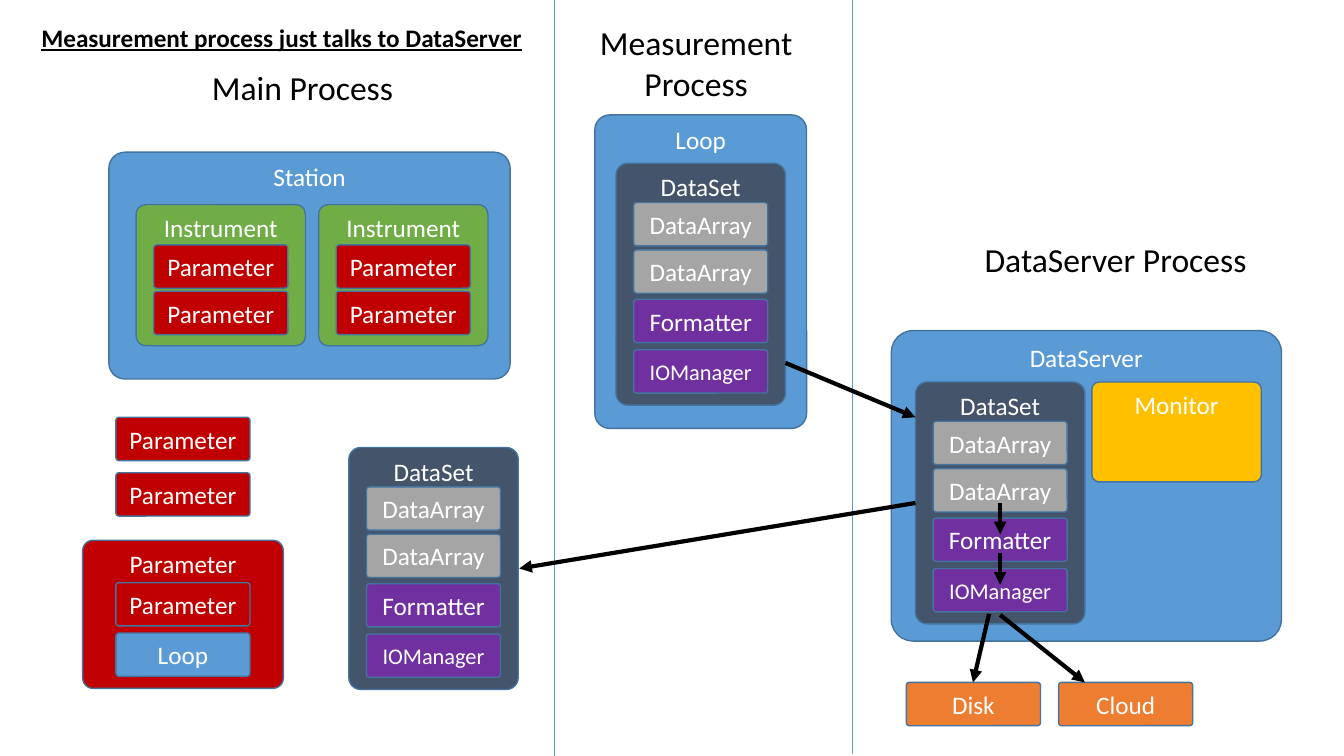
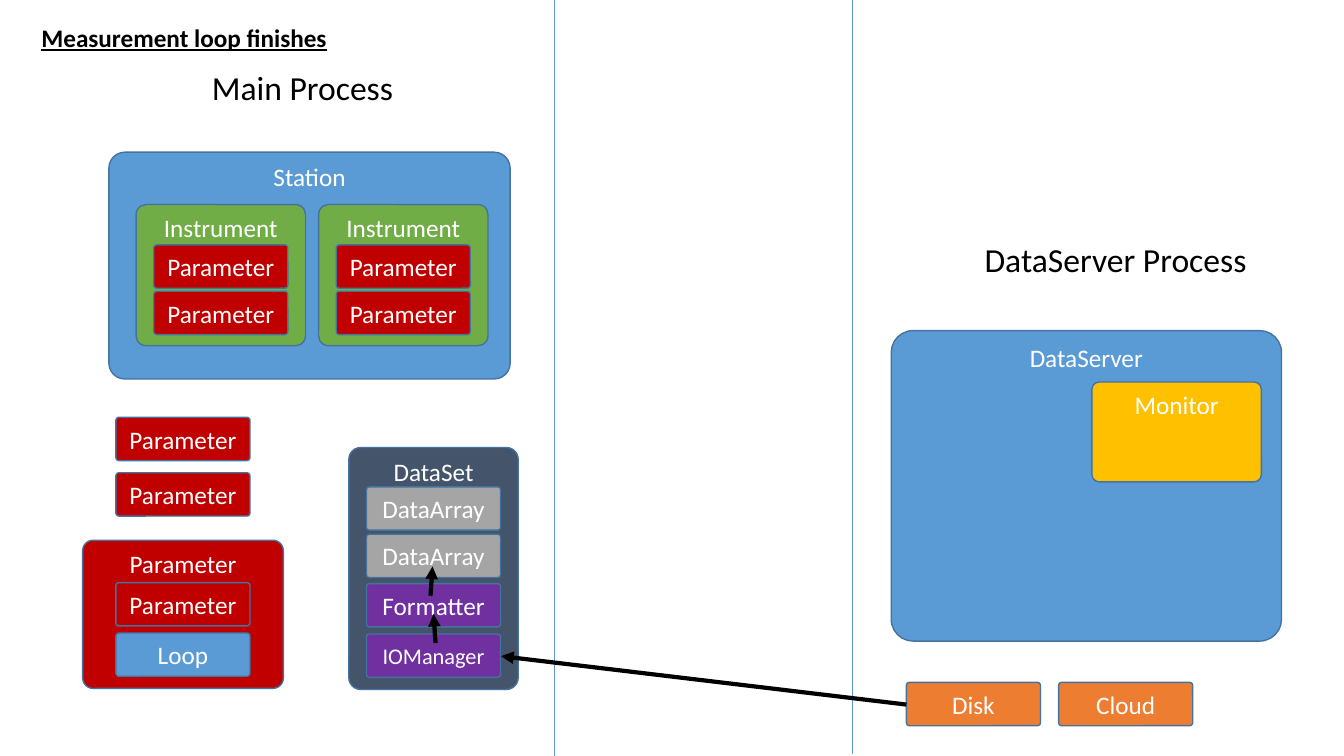
from lxml import etree
from pptx import Presentation
from pptx.dml.color import RGBColor
from pptx.enum.shapes import MSO_CONNECTOR, MSO_SHAPE
from pptx.enum.text import MSO_ANCHOR, MSO_AUTO_SIZE, PP_ALIGN
from pptx.oxml.ns import qn
from pptx.util import Inches, Pt

ROUNDED = MSO_SHAPE.ROUNDED_RECTANGLE
STRAIGHT = MSO_CONNECTOR.STRAIGHT
TOP, MIDDLE = MSO_ANCHOR.TOP, MSO_ANCHOR.MIDDLE
LEFT, CENTER = PP_ALIGN.LEFT, PP_ALIGN.CENTER
FIT_SHAPE, NO_FIT = MSO_AUTO_SIZE.SHAPE_TO_FIT_TEXT, MSO_AUTO_SIZE.NONE

FONT = "Calibri"
COLORS = {
    "blue": "5B9BD5",
    "outline": "43739E",
    "green": "70AD47",
    "red": "C00000",
    "slate": "44546A",
    "gray": "A5A5A5",
    "purple": "7030A0",
    "gold": "FFC000",
    "orange": "ED7D31",
    "black": "000000",
    "white": "FFFFFF",
}
ITEM_WIDTH, ITEM_HEIGHT = 1.33, 0.43
GROUP_WIDTH = 1.68
INSTRUMENT_ITEMS = [
    ("Parameter", "red", 0.4, 18),
    ("Parameter", "red", 0.86, 18),
]
DATASET_ITEMS = [
    ("DataArray", "gray", 0.39, 18),
    ("DataArray", "gray", 0.86, 18),
    ("Formatter", "purple", 1.35, 18),
    ("IOManager", "purple", 1.85, 16),
]


def color(name):
    """Return the named colour of the palette."""
    return RGBColor.from_string(COLORS[name])


def format_text(text_frame, size, color_name, alignment, bold=None, underline=None):
    """Give all paragraphs and runs of a text frame one style."""
    for paragraph in text_frame.paragraphs:
        paragraph.alignment = alignment
        for run in paragraph.runs:
            run.font.name = FONT
            run.font.size = Pt(size)
            run.font.bold = bold
            run.font.underline = underline
            run.font.color.rgb = color(color_name)


def set_title(slide, text, width):
    """Place the underlined heading in the title placeholder."""
    title = slide.shapes.title
    title.left, title.top = Inches(0.31), Inches(0.17)
    title.width, title.height = Inches(width), Inches(0.4)
    text_frame = title.text_frame
    text_frame.text = text
    text_frame.word_wrap = False
    text_frame.auto_size = NO_FIT
    text_frame.vertical_anchor = TOP
    format_text(text_frame, 18, "black", LEFT, bold=True, underline=True)


def add_label(slide, text, left, top, width, height=0.5):
    """Add the name of a process above its column."""
    label = slide.shapes.add_textbox(
        Inches(left), Inches(top), Inches(width), Inches(height))
    text_frame = label.text_frame
    text_frame.text = text
    text_frame.word_wrap = False
    text_frame.auto_size = FIT_SHAPE
    format_text(text_frame, 24, "black", CENTER)


def add_box(shapes, text, fill, left, top, width, height, anchor=TOP, size=18):
    """Add a rounded box with its caption."""
    box = shapes.add_shape(
        ROUNDED, Inches(left), Inches(top), Inches(width), Inches(height))
    box.adjustments[0] = 0.07
    box.shadow.inherit = False
    box.fill.solid()
    box.fill.fore_color.rgb = color(fill)
    box.line.color.rgb = color("outline")
    box.line.width = Pt(1)
    box.text_frame.text = text
    box.text_frame.word_wrap = True
    box.text_frame.vertical_anchor = anchor
    format_text(box.text_frame, size, "white", CENTER)


def add_item(shapes, text, fill, left, top, size=18):
    """Add a small box of the standard item size."""
    add_box(shapes, text, fill, left, top, ITEM_WIDTH, ITEM_HEIGHT, MIDDLE, size)


def add_stack(slide, text, fill, left, top, height, items):
    """Add a grouped container with a centred column of items."""
    shapes = slide.shapes.add_group_shape().shapes
    add_box(shapes, text, fill, left, top, GROUP_WIDTH, height)
    item_left = left + (GROUP_WIDTH - ITEM_WIDTH) / 2
    for item_text, item_fill, offset, size in items:
        add_item(shapes, item_text, item_fill, item_left, top + offset, size)


def add_dataset(slide, left, top):
    """Add a DataSet with its arrays, formatter and manager."""
    add_stack(slide, "DataSet", "slate", left, top, 2.4, DATASET_ITEMS)


def add_line(slide, start, end, color_name, width):
    """Add a straight line without shadow."""
    connector = slide.shapes.add_connector(
        STRAIGHT, *(Inches(value) for value in (*start, *end)))
    connector.line.color.rgb = color(color_name)
    connector.line.width = Pt(width)
    etree.SubElement(connector.element.spPr, qn("a:effectLst"))
    return connector


def add_arrow(slide, start, end):
    """Add a thick black arrow that points to its end."""
    connector = add_line(slide, start, end, "black", 3)
    outline = connector.element.spPr.find(qn("a:ln"))
    etree.SubElement(outline, qn("a:tailEnd"), type="triangle")


def add_main_process(slide):
    """Add the station, the parameters and the DataSet of the main process."""
    shapes = slide.shapes
    add_label(slide, "Main Process", 1.99, 0.61, 2.02)
    add_box(shapes, "Station", "blue", 1.08, 1.51, 3.98, 2.25)
    for left in (1.35, 3.16):
        add_stack(slide, "Instrument", "green", left, 2.03, 1.4, INSTRUMENT_ITEMS)
    add_box(shapes, "Parameter", "red", 0.82, 5.36, 1.99, 1.47)
    for top in (4.14, 4.69, 5.78):
        add_item(shapes, "Parameter", "red", 1.15, top)
    add_item(shapes, "Loop", "blue", 1.15, 6.28)
    add_dataset(slide, 3.46, 4.44)


def add_measurement_process(slide):
    """Add the measurement loop with its DataSet."""
    add_label(slide, "Measurement\nProcess", 5.84, 0.17, 2.13, 0.91)
    add_box(slide.shapes, "Loop", "blue", 5.9, 1.14, 2.1, 3.11)
    add_dataset(slide, 6.11, 1.62)


def add_server_process(slide):
    """Add the DataServer with its monitor and storage targets."""
    shapes = slide.shapes
    add_label(slide, "DataServer Process", 9.65, 2.32, 2.83)
    add_box(shapes, "DataServer", "blue", 8.84, 3.28, 3.87, 3.08)
    add_box(shapes, "Monitor", "gold", 10.83, 3.79, GROUP_WIDTH, 0.99)
    for text, left in (("Disk", 8.99), ("Cloud", 10.5)):
        add_item(shapes, text, "orange", left, 6.77)


def add_process_slide(presentation, title, title_width):
    """Add a slide with the parts that both states share."""
    slide = presentation.slides.add_slide(presentation.slide_layouts[5])
    set_title(slide, title, title_width)
    add_main_process(slide)
    add_server_process(slide)
    for x, top in ((5.5, 0), (8.45, -0.02)):
        add_line(slide, (x, top), (x, top + 7.5), "blue", 0.5)
    return slide


def add_measuring_slide(presentation):
    """Show the data flow while the measurement runs."""
    slide = add_process_slide(
        presentation, "Measurement process just talks to DataServer", 5.01)
    add_measurement_process(slide)
    add_dataset(slide, 9.08, 3.79)
    for start, end in (
        ((7.79, 3.6), (9.08, 4.14)),
        ((9.92, 4.99), (9.92, 5.3)),
        ((9.92, 5.49), (9.92, 5.8)),
        ((9.81, 6.09), (9.65, 6.77)),
        ((9.92, 6.1), (10.76, 6.77)),
        ((9.08, 4.99), (5.15, 5.64)),
    ):
        add_arrow(slide, start, end)


def add_finished_slide(presentation):
    """Show the data read back from disk after the loop."""
    slide = add_process_slide(presentation, "Measurement loop finishes", 3.05)
    for start, end in (
        ((8.99, 6.99), (4.97, 6.51)),
        ((4.32, 6.38), (4.3, 6.09)),
        ((4.27, 5.91), (4.29, 5.62)),
    ):
        add_arrow(slide, start, end)


def main():
    """Build and save the presentation."""
    presentation = Presentation()
    presentation.slide_width = Inches(13.33)
    presentation.slide_height = Inches(7.5)
    add_measuring_slide(presentation)
    add_finished_slide(presentation)
    presentation.save("out.pptx")


main()
